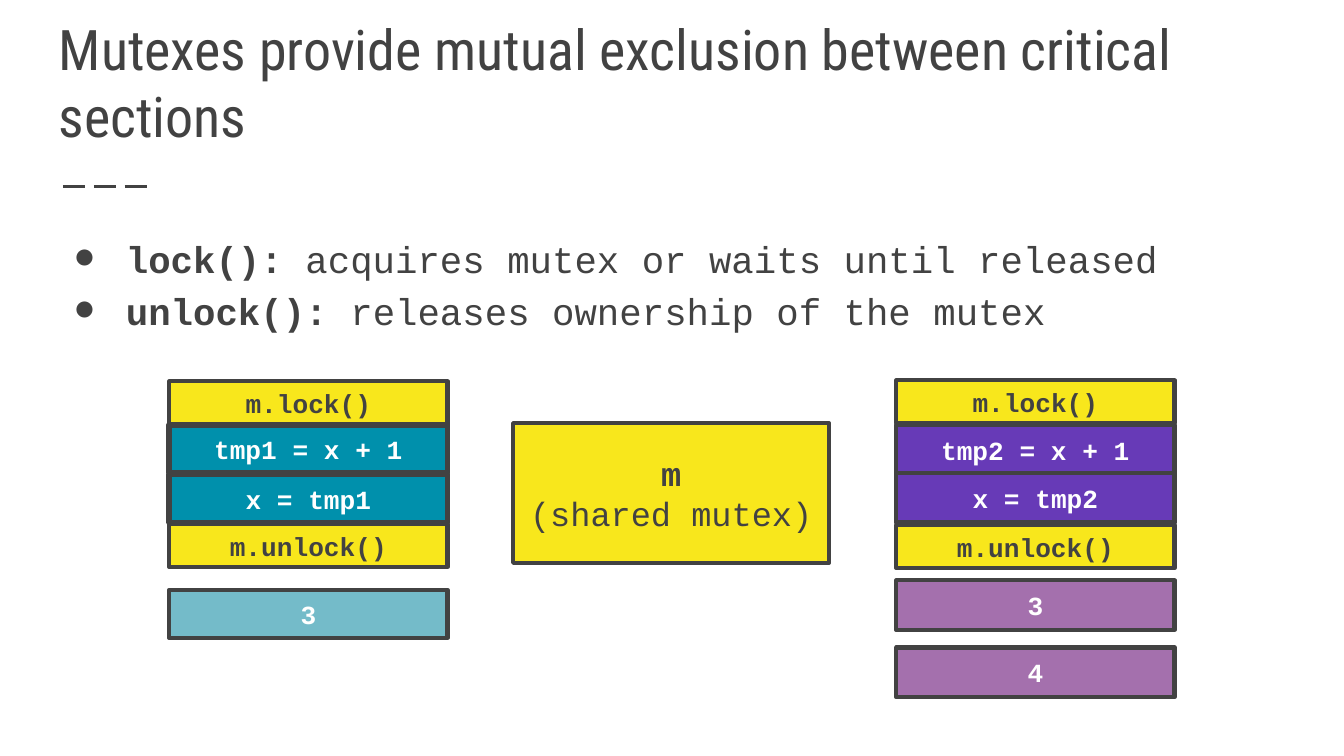
from lxml.etree import SubElement
from pptx import Presentation
from pptx.dml.color import RGBColor
from pptx.enum.dml import MSO_LINE_DASH_STYLE as Dash
from pptx.enum.shapes import MSO_CONNECTOR as Connector, MSO_SHAPE as Shape
from pptx.enum.text import MSO_ANCHOR as Anchor, MSO_AUTO_SIZE as AutoSize, PP_ALIGN as Align
from pptx.oxml.ns import qn
from pptx.util import Cm, Pt

INK = RGBColor(0x42, 0x42, 0x42)
WHITE = RGBColor(0xFF, 0xFF, 0xFF)
YELLOW = RGBColor(0xF8, 0xE7, 0x1C)
TEAL = RGBColor(0x00, 0x90, 0xAC)
PALE_TEAL = RGBColor(0x74, 0xBB, 0xC9)
PURPLE = RGBColor(0x67, 0x3A, 0xB7)
MAUVE = RGBColor(0xA4, 0x70, 0xAD)

CODE_FONT = "Courier New"
TITLE_FONT = "Roboto Condensed"
MARGIN = 0.86
TEXT_WIDTH = 23.67
BOX_WIDTH = 5.26
CALL_HEIGHT = 0.81

FIRST_THREAD = {
    "left": 3.2, "step_height": 0.91, "step_border": 3,
    "step_fill": TEAL, "result_fill": PALE_TEAL,
    "steps": [("tmp1 = x + 1", 8.03), ("x = tmp1", 8.97)],
    "results": [("3", 11.15)],
    "calls": [("m.lock()", 7.21), ("m.unlock()", 9.91)],
}
SECOND_THREAD = {
    "left": 16.94, "step_height": 0.94, "step_border": 2.25,
    "step_fill": PURPLE, "result_fill": MAUVE,
    "steps": [("tmp2 = x + 1", 8.03), ("x = tmp2", 8.94)],
    "results": [("3", 10.97), ("4", 12.24)],
    "calls": [("m.lock()", 7.19), ("m.unlock()", 9.93)],
}


def apply_format(target, values):
    for attribute, value in values.items():
        setattr(target, attribute, value)


def format_frame(frame, anchor):
    inset = Cm(0.25)
    apply_format(frame, {
        "word_wrap": True, "auto_size": AutoSize.NONE, "vertical_anchor": anchor,
        "margin_left": inset, "margin_right": inset,
        "margin_top": inset, "margin_bottom": inset,
    })


def add_run(paragraph, text, size, color=INK, bold=False, font=CODE_FONT):
    run = paragraph.add_run()
    run.text = text
    apply_format(run.font, {"name": font, "size": Pt(size), "bold": bold})
    run.font.color.rgb = color


def write_title(slide, text):
    title = slide.shapes.title
    apply_format(title, {
        "left": Cm(MARGIN), "top": Cm(1.04), "width": Cm(TEXT_WIDTH), "height": Cm(2.03),
    })
    format_frame(title.text_frame, Anchor.BOTTOM)
    paragraph = title.text_frame.paragraphs[0]
    paragraph.alignment = Align.LEFT
    add_run(paragraph, text, 30, font=TITLE_FONT)


def add_dashes(slide):
    dashes = slide.shapes.add_connector(
        Connector.STRAIGHT, Cm(1.19), Cm(3.53), Cm(2.9), Cm(3.53))
    apply_format(dashes.line, {"width": Pt(1.5), "dash_style": Dash.LONG_DASH})
    dashes.line.color.rgb = INK
    SubElement(dashes.element.spPr, qn("a:effectLst"))


def add_bullet(paragraph):
    properties = paragraph._p.get_or_add_pPr()
    properties.set("marL", str(Cm(1.27)))
    properties.set("indent", str(-Cm(0.99)))
    bullet_color = SubElement(properties, qn("a:buClr"))
    SubElement(bullet_color, qn("a:srgbClr"), val=str(INK))
    SubElement(properties, qn("a:buFont"), typeface=CODE_FONT)
    SubElement(properties, qn("a:buChar"), char="●")


def add_definitions(slide, definitions):
    body = slide.shapes.add_textbox(Cm(MARGIN), Cm(4.09), Cm(TEXT_WIDTH), Cm(2.64))
    frame = body.text_frame
    format_frame(frame, Anchor.TOP)
    for index, (call, meaning) in enumerate(definitions):
        paragraph = frame.add_paragraph() if index else frame.paragraphs[0]
        paragraph.line_spacing = 1.15
        add_bullet(paragraph)
        add_run(paragraph, call, 20, bold=True)
        add_run(paragraph, meaning, 20)


def add_box(slide, place, fill, lines, color=INK, size=14, border=2.25):
    box = slide.shapes.add_shape(Shape.RECTANGLE, *map(Cm, place))
    box.shadow.inherit = False
    box.fill.solid()
    box.fill.fore_color.rgb = fill
    box.line.color.rgb = INK
    box.line.width = Pt(border)
    frame = box.text_frame
    format_frame(frame, Anchor.MIDDLE)
    for index, (text, bold) in enumerate(lines):
        paragraph = frame.add_paragraph() if index else frame.paragraphs[0]
        paragraph.alignment = Align.CENTER
        add_run(paragraph, text, size, color, bold)


def add_thread(slide, thread):
    step_height = thread["step_height"]
    rows = [
        ("steps", thread["step_fill"], WHITE, step_height, thread["step_border"]),
        ("results", thread["result_fill"], WHITE, step_height, 2.25),
        ("calls", YELLOW, INK, CALL_HEIGHT, 2.25),
    ]
    for part, fill, color, height, border in rows:
        for text, top in thread[part]:
            place = (thread["left"], top, BOX_WIDTH, height)
            add_box(slide, place, fill, [(text, True)], color, border=border)


def main():
    deck = Presentation()
    apply_format(deck, {"slide_width": Cm(25.4), "slide_height": Cm(14.29)})
    slide = deck.slides.add_slide(deck.slide_layouts[5])
    add_dashes(slide)
    write_title(slide, "Mutexes provide mutual exclusion between critical sections")
    add_definitions(slide, [
        ("lock(): ", "acquires mutex or waits until released"),
        ("unlock(): ", "releases ownership of the mutex"),
    ])
    for thread in (FIRST_THREAD, SECOND_THREAD):
        add_thread(slide, thread)
    add_box(slide, (9.7, 8, 5.97, 2.64), YELLOW,
            [("m", True), ("(shared mutex)", False)], size=18)
    deck.save("out.pptx")


if __name__ == "__main__":
    main()
